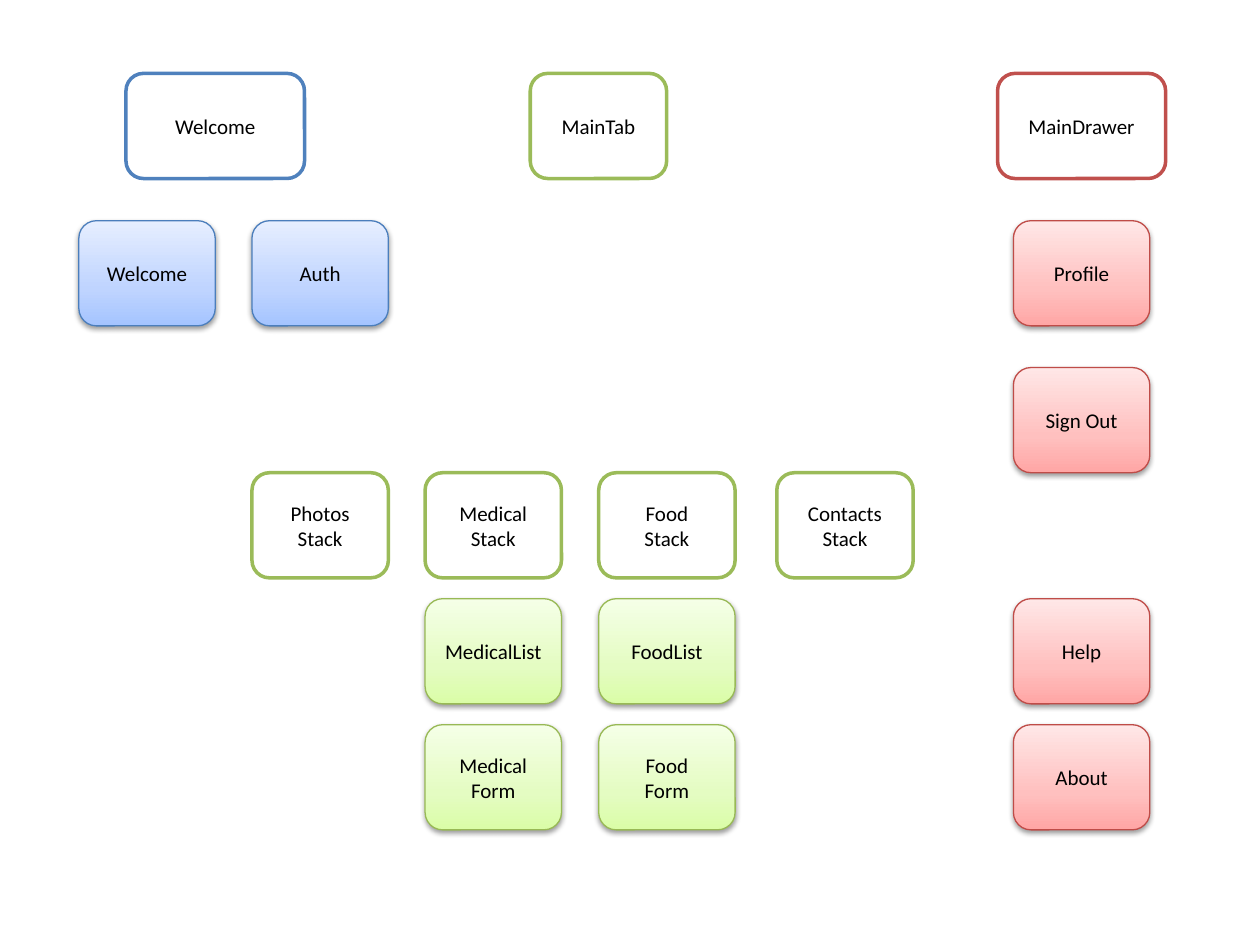
from typing import NamedTuple

from pptx import Presentation
from pptx.dml.color import RGBColor
from pptx.enum.shapes import MSO_SHAPE
from pptx.enum.text import MSO_ANCHOR, PP_ALIGN
from pptx.oxml import parse_xml
from pptx.oxml.ns import nsdecls
from pptx.util import Cm, Pt

BOX_W, BOX_H = 2.75, 2.12
COLS = [1.59, 5.08, 8.57, 12.07, 15.66]
DRAWER_X = 20.43
TOP_Y, SCREEN_Y, SIGN_OUT_Y, STACK_Y, LIST_Y, FORM_Y = 1.48, 4.45, 7.41, 9.53, 12.07, 14.61


class Theme(NamedTuple):
    outline: str
    border: str
    stops: tuple[str, str, str]


class Box(NamedTuple):
    text: str
    x: float
    y: float
    theme: Theme
    width: float = BOX_W


BLUE = Theme("4F81BD", "4B7EBC", ("A4C4FF", "BFD4FF", "E6EEFF"))
GREEN = Theme("9BBB59", "98B955", ("DAFDA7", "E4FCC2", "F5FFE7"))
RED = Theme("C0504D", "BF4C48", ("FFA6A5", "FFC0BF", "FFE7E7"))

NAVIGATORS = [
    Box("Welcome", 2.54, TOP_Y, BLUE, 3.6),
    Box("MainTab", 10.69, TOP_Y, GREEN),
    Box("MainDrawer", 20.11, TOP_Y, RED, 3.39),
    Box("Photos\nStack", COLS[1], STACK_Y, GREEN),
    Box("Medical\nStack", COLS[2], STACK_Y, GREEN),
    Box("Food\nStack", COLS[3], STACK_Y, GREEN),
    Box("Contacts\nStack", COLS[4], STACK_Y, GREEN),
]
SCREENS = [
    Box("Welcome", COLS[0], SCREEN_Y, BLUE),
    Box("Auth", COLS[1], SCREEN_Y, BLUE),
    Box("MedicalList", COLS[2], LIST_Y, GREEN),
    Box("Medical\vForm", COLS[2], FORM_Y, GREEN),
    Box("FoodList", COLS[3], LIST_Y, GREEN),
    Box("Food\vForm", COLS[3], FORM_Y, GREEN),
    Box("Profile", DRAWER_X, SCREEN_Y, RED),
    Box("Sign Out", DRAWER_X, SIGN_OUT_Y, RED),
    Box("Help", DRAWER_X, LIST_Y, RED),
    Box("About", DRAWER_X, FORM_Y, RED),
]


def color(value: str) -> RGBColor:
    return RGBColor.from_string(value)


def add_box(s, box: Box, line_color: str, line_width: float):
    sp = s.shapes.add_shape(
        MSO_SHAPE.ROUNDED_RECTANGLE, Cm(box.x), Cm(box.y), Cm(box.width), Cm(BOX_H)
    )
    sp.shadow.inherit = False
    sp.line.color.rgb = color(line_color)
    sp.line.width = Pt(line_width)
    tf = sp.text_frame
    tf.vertical_anchor = MSO_ANCHOR.MIDDLE
    tf.text = box.text
    for p in tf.paragraphs:
        p.alignment = PP_ALIGN.CENTER
        p.font.name = "Calibri"
        p.font.size = Pt(12)
        p.font.color.rgb = color("000000")
    return sp


def add_navigator(s, box: Box) -> None:
    sp = add_box(s, box, box.theme.outline, 2)
    sp.fill.solid()
    sp.fill.fore_color.rgb = color("FFFFFF")


def add_screen(s, box: Box) -> None:
    sp = add_box(s, box, box.theme.border, 0.75)
    stops = "".join(
        f'<a:gs pos="{pos * 1000}"><a:srgbClr val="{value}"/></a:gs>'
        for pos, value in zip((0, 35, 100), box.theme.stops)
    )
    gradient = parse_xml(
        f'<a:gradFill {nsdecls("a")} rotWithShape="1"><a:gsLst>{stops}</a:gsLst>'
        '<a:lin ang="16200000" scaled="0"/></a:gradFill>'
    )
    shadow = parse_xml(
        f'<a:outerShdw {nsdecls("a")} blurRad="{Pt(3.1)}" dist="{Pt(1.6)}" dir="5400000"'
        ' rotWithShape="0"><a:srgbClr val="000000"><a:alpha val="38000"/></a:srgbClr></a:outerShdw>'
    )
    properties = sp.element.spPr
    properties.find("{*}prstGeom").addnext(gradient)
    properties.find("{*}effectLst").append(shadow)


def main() -> None:
    prs = Presentation()
    prs.slide_width, prs.slide_height = Cm(25.4), Cm(19.05)
    s = prs.slides.add_slide(prs.slide_layouts[6])
    for box in NAVIGATORS:
        add_navigator(s, box)
    for box in SCREENS:
        add_screen(s, box)
    prs.save("out.pptx")


if __name__ == "__main__":
    main()
